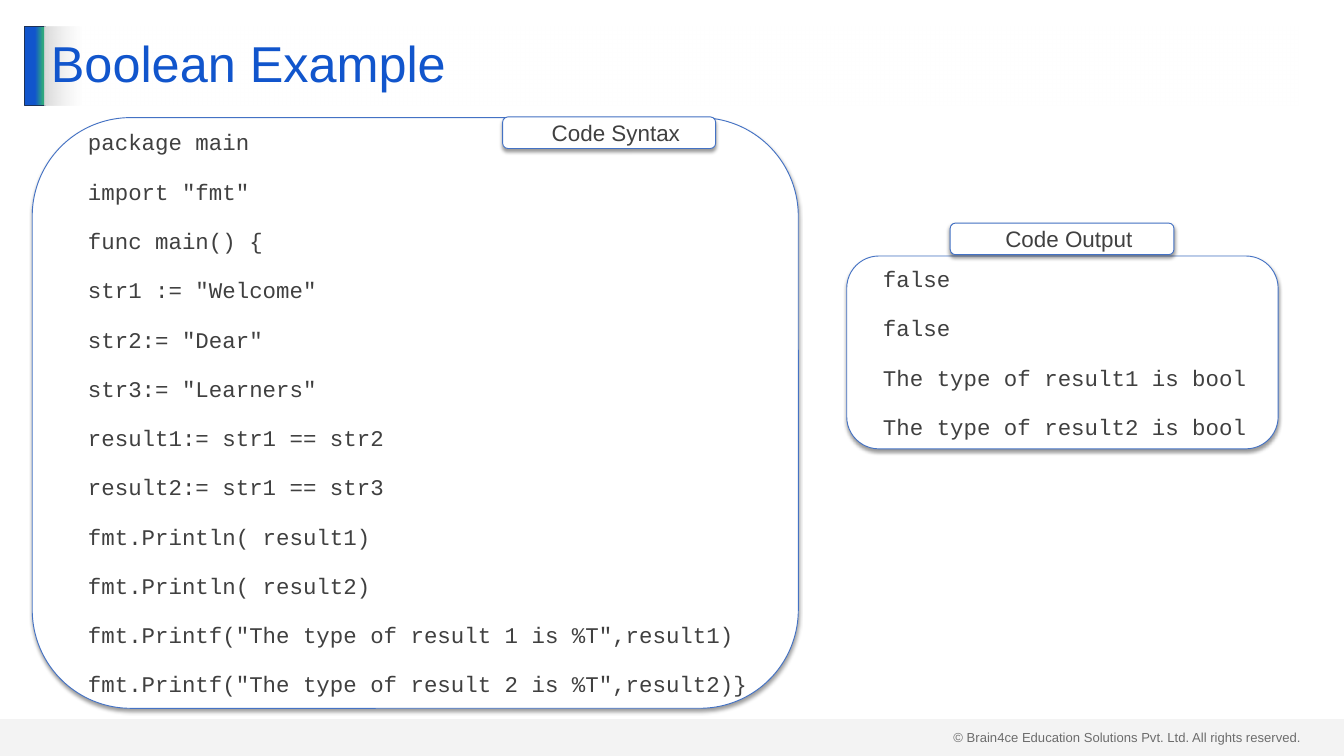
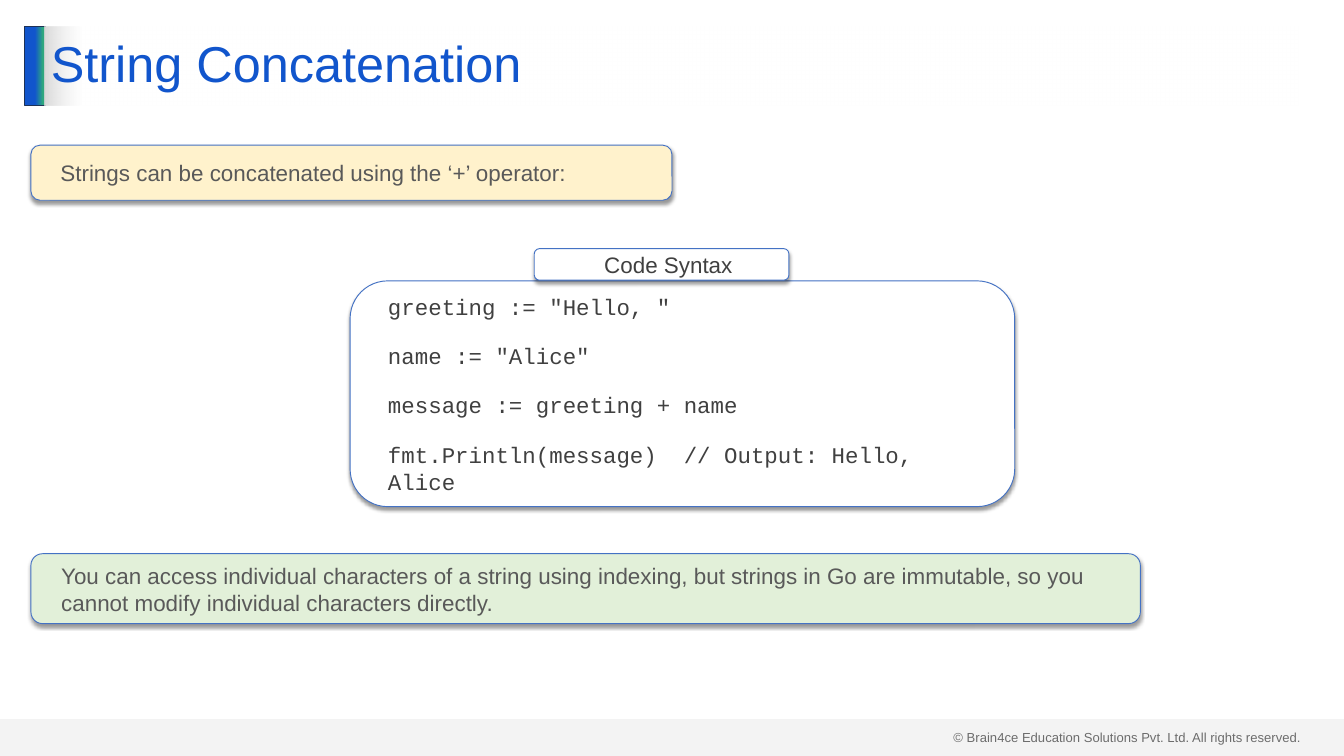
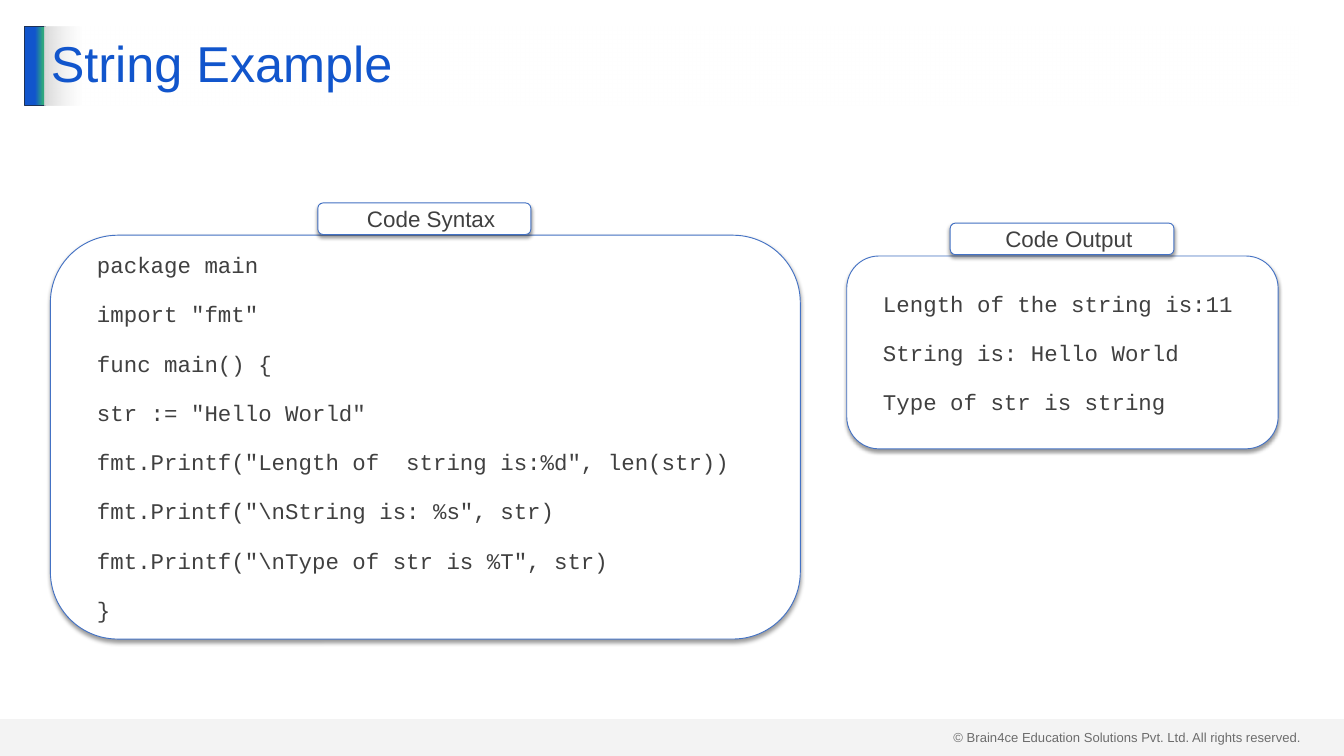
from lxml import etree
from pptx import Presentation
from pptx.dml.color import RGBColor
from pptx.enum.shapes import MSO_SHAPE
from pptx.enum.text import MSO_ANCHOR, PP_ALIGN
from pptx.oxml.ns import qn
from pptx.util import Inches, Pt

RECT, ROUND = MSO_SHAPE.RECTANGLE, MSO_SHAPE.ROUNDED_RECTANGLE
MIDDLE = MSO_ANCHOR.MIDDLE
LEFT, CENTER = PP_ALIGN.LEFT, PP_ALIGN.CENTER

WHITE = RGBColor(0xFF, 0xFF, 0xFF)
BLACK = RGBColor(0, 0, 0)
BLUE = RGBColor(0x11, 0x55, 0xCC)
TEAL = RGBColor(0x2E, 0xA8, 0x7D)
NAVY = RGBColor(0x1E, 0x32, 0x56)
EDGE = RGBColor(0x44, 0x72, 0xC4)
SILVER = RGBColor(0xD9, 0xD9, 0xD9)
DARK = RGBColor(0x40, 0x40, 0x40)
GRAY = RGBColor(0x59, 0x59, 0x59)
CREAM = RGBColor(0xFF, 0xF2, 0xCC)
MINT = RGBColor(0xE2, 0xF0, 0xD9)

SANS, MONO = "Arial", "Courier New"
FOOTER = "© Brain4ce Education Solutions Pvt. Ltd. All rights reserved."
OUTPUT_BOX = (12.6, 3.81, 6.42, 2.87)
OUTPUT_TAB = ("Code Output", (14.14, 3.32, 3.33, 0.47))

# Panels hold (place, lines), tabs hold (label, place), notes hold (place, fill, text).
SLIDES = [
    {
        "title": "Boolean Example",
        "panels": [
            ((0.48, 1.75, 11.4, 8.79), [
                'package main',
                'import "fmt"',
                'func main() {',
                'str1 := "Welcome"',
                'str2:= "Dear"',
                'str3:= "Learners"',
                'result1:= str1 == str2',
                'result2:= str1 == str3',
                'fmt.Println( result1)',
                'fmt.Println( result2)',
                'fmt.Printf("The type of result 1 is %T",result1)',
                'fmt.Printf("The type of result 2 is %T",result2)}',
            ]),
            (OUTPUT_BOX, [
                'false',
                'false',
                'The type of result1 is bool',
                'The type of result2 is bool',
            ]),
        ],
        "tabs": [("Code Syntax", (7.48, 1.74, 3.17, 0.47)), OUTPUT_TAB],
        "notes": [],
    },
    {
        "title": "String Concatenation",
        "panels": [
            ((5.21, 4.18, 9.89, 3.36), [
                'greeting := "Hello, "',
                'name := "Alice"',
                'message := greeting + name',
                'fmt.Println(message)  // Output: Hello, Alice',
            ]),
        ],
        "tabs": [("Code Syntax", (7.95, 3.7, 3.79, 0.47))],
        "notes": [
            ((0.46, 2.16, 9.54, 0.82), CREAM,
             "Strings can be concatenated using the ‘+’ operator:"),
            ((0.46, 8.24, 16.51, 1.04), MINT,
             "You can access individual characters of a string using indexing, "
             "but strings in Go are immutable, so you cannot modify individual "
             "characters directly."),
        ],
    },
    {
        "title": "String Example",
        "panels": [
            ((0.75, 3.5, 11.16, 6.01), [
                'package main',
                'import "fmt"',
                'func main() {',
                'str := "Hello World"',
                'fmt.Printf("Length of  string is:%d", len(str))',
                r'fmt.Printf("\nString is: %s", str)',
                r'fmt.Printf("\nType of str is %T", str)',
                '}',
            ]),
            (OUTPUT_BOX, [
                'Length of the string is:11',
                'String is: Hello World',
                'Type of str is string',
            ]),
        ],
        "tabs": [("Code Syntax", (4.73, 3.02, 3.17, 0.47)), OUTPUT_TAB],
        "notes": [],
    },
]


def add_color(parent, color, alpha=100):
    node = etree.SubElement(parent, qn("a:srgbClr"), val=str(color))
    if alpha < 100:
        etree.SubElement(node, qn("a:alpha"), val=str(alpha * 1000))


def add_block(slide, kind, place, fill=None, line=None):
    shape = slide.shapes.add_shape(kind, *map(Inches, place))
    shape.shadow.inherit = False
    if fill is not None:
        shape.fill.solid()
        shape.fill.fore_color.rgb = fill
    if line is None:
        shape.line.fill.background()
    else:
        shape.line.color.rgb = line
        shape.line.width = Pt(1)
    return shape


def add_fade(slide, place, stops, line=None):
    """Add a rectangle with a left-to-right gradient of (percent, colour, alpha)."""
    shape = add_block(slide, RECT, place, line=line)
    shape.fill.gradient()
    shape.fill.gradient_angle = 0
    bag = shape.element.spPr.find(".//" + qn("a:gsLst"))
    for stop in list(bag):
        bag.remove(stop)
    for share, color, alpha in stops:
        stop = etree.SubElement(bag, qn("a:gs"), pos=str(share * 1000))
        add_color(stop, color, alpha)
    return shape


def set_font(par, size, color, face=SANS):
    par.font.size = Pt(size)
    par.font.name = face
    par.font.color.rgb = color


def add_card(slide, place, lines, fill=WHITE, color=DARK, face=SANS, align=LEFT):
    """Add a rounded box with a soft shadow and one paragraph per line."""
    shape = add_block(slide, ROUND, place, fill, EDGE)
    glow = etree.SubElement(
        shape.element.spPr.find(qn("a:effectLst")), qn("a:outerShdw"),
        blurRad=str(Pt(4)), dist=str(Pt(3)), dir="5400000",
        algn="t", rotWithShape="0")
    add_color(glow, BLACK, 40)

    frame = shape.text_frame
    frame.word_wrap = True
    frame.vertical_anchor = MIDDLE
    frame.margin_left = frame.margin_right = Inches(0.2)
    frame.margin_top = frame.margin_bottom = Inches(0.1)
    for i, text in enumerate(lines):
        par = frame.add_paragraph() if i else frame.paragraphs[0]
        par.text = text
        par.alignment = align
        par.space_before = Pt(12 if i else 0)
        par.space_after = Pt(12)
        props = par._p.get_or_add_pPr()
        props.set("marL", str(Inches(0.2)))
        props.set("indent", "0")
        set_font(par, 24, color, face)


def add_frame(slide, title):
    """Add the footer, the accent bar and the title."""
    foot = slide.shapes.add_textbox(*map(Inches, (14.09, 10.8, 5.41, 0.34)))
    foot.text_frame.word_wrap = True
    par = foot.text_frame.paragraphs[0]
    par.text = FOOTER
    set_font(par, 14, DARK)

    add_fade(slide, (0.37, 0.39, 0.3, 1.18),
             [(51, BLUE, 100), (90, TEAL, 100), (100, TEAL, 100)], NAVY)
    band = add_block(slide, RECT, (0, 10.7, 20, 0.55), SILVER)
    tint = band.element.spPr.find(qn("a:solidFill"))[0]
    etree.SubElement(tint, qn("a:alpha"), val="29000")

    head = add_fade(slide, (0.66, 0.39, 18.67, 1.18),
                    [(0, SILVER, 100), (3, WHITE, 50)])
    head.text_frame.word_wrap = True
    head.text_frame.vertical_anchor = MIDDLE
    par = head.text_frame.paragraphs[0]
    par.text = title
    par.alignment = LEFT
    par.line_spacing = 0.9
    set_font(par, 54, BLUE)


def main():
    deck = Presentation()
    deck.slide_width, deck.slide_height = Inches(20), Inches(11.25)
    blank = deck.slide_layouts[6]
    for item in SLIDES:
        slide = deck.slides.add_slide(blank)
        add_frame(slide, item["title"])
        for place, lines in item["panels"]:
            add_card(slide, place, lines, face=MONO)
        for label, place in item["tabs"]:
            add_card(slide, place, [label], align=CENTER)
        for place, fill, text in item["notes"]:
            add_card(slide, place, [text], fill, GRAY)
    deck.save("out.pptx")


if __name__ == "__main__":
    main()
